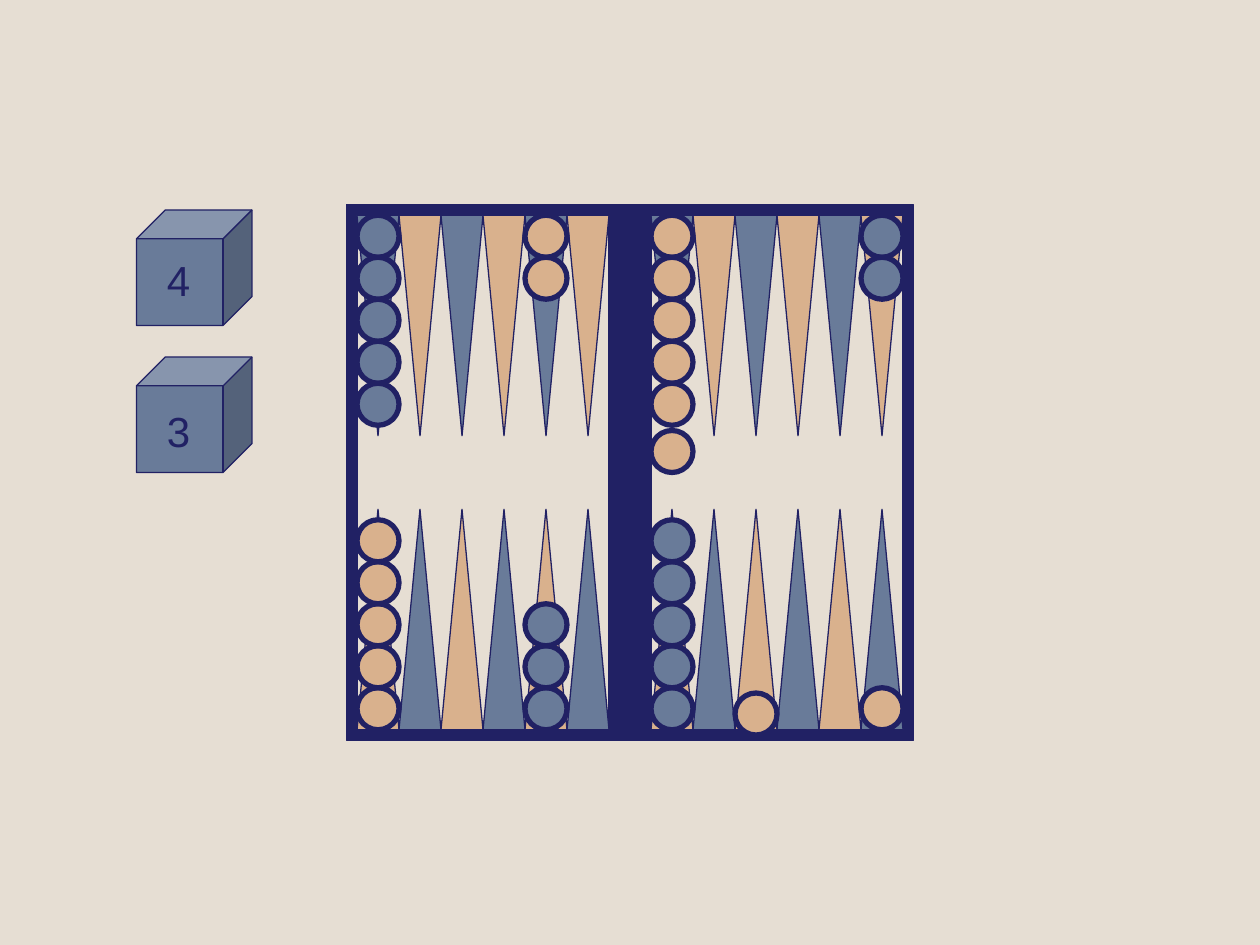
from dataclasses import dataclass

from pptx import Presentation
from pptx.dml.color import RGBColor
from pptx.enum.shapes import MSO_SHAPE
from pptx.enum.text import MSO_AUTO_SIZE, PP_ALIGN
from pptx.shapes.autoshape import Shape
from pptx.util import Pt

COLORS = {"board": "E6DED3", "navy": "212164", "sand": "D9B18D", "slate": "697B99"}

POINT_WIDTH, POINT_HEIGHT = 24, 126
POINTS_PER_HALF = 6
HALF_LEFTS = (204, 372)
BOARD_TOP, BOARD_BOTTOM = 123, 417
LOWEST_ROW = BOARD_BOTTOM - POINT_WIDTH


@dataclass
class Stack:
    """Checkers on one point, counted from the left, 0 to 11."""
    color: str
    column: int
    top: float
    count: int = 1
    step: int = POINT_WIDTH


@dataclass
class Die:
    value: str
    top: float
    label_top: float


STACKS = [
    Stack("slate", 11, BOARD_TOP, 2),
    Stack("slate", 0, BOARD_TOP, 5),
    Stack("slate", 4, LOWEST_ROW, 3, -POINT_WIDTH),
    Stack("slate", 6, LOWEST_ROW, 5, -POINT_WIDTH),
    Stack("sand", 11, LOWEST_ROW),
    Stack("sand", 8, 396),
    Stack("sand", 0, LOWEST_ROW, 5, -POINT_WIDTH),
    Stack("sand", 4, BOARD_TOP, 2),
    Stack("sand", 6, 246),
    Stack("sand", 6, BOARD_TOP, 5),
]
DICE = [Die("4", 120, 142), Die("3", 204, 228)]
DIE_LEFT, DIE_SIZE = 78, 66


def rgb(name: str) -> RGBColor:
    return RGBColor.from_string(COLORS[name])


def column_left(column: int) -> float:
    half, index = divmod(column, POINTS_PER_HALF)
    return HALF_LEFTS[half] + index * POINT_WIDTH


def draw(shapes, preset: MSO_SHAPE, left: float, top: float, width: float,
         height: float, color: str, line_width: float = 0.75) -> Shape:
    shape = shapes.add_shape(preset, Pt(left), Pt(top), Pt(width), Pt(height))
    shape.shadow.inherit = False
    shape.fill.solid()
    shape.fill.fore_color.rgb = rgb(color)
    shape.line.color.rgb = rgb("navy")
    shape.line.width = Pt(line_width)
    return shape


def draw_board(shapes) -> None:
    draw(shapes, MSO_SHAPE.RECTANGLE, 198, 117, 324, 306, "navy")
    for left in HALF_LEFTS:
        draw(shapes, MSO_SHAPE.RECTANGLE, left, BOARD_TOP,
             POINTS_PER_HALF * POINT_WIDTH, BOARD_BOTTOM - BOARD_TOP, "board")
    # Points alternate in colour, and opposite points differ
    rows = [(BOARD_BOTTOM - POINT_HEIGHT, 0, ("sand", "slate")),
            (BOARD_TOP, 180, ("slate", "sand"))]
    for top, rotation, colors in rows:
        for column in range(2 * POINTS_PER_HALF):
            point = draw(shapes, MSO_SHAPE.ISOSCELES_TRIANGLE, column_left(column),
                         top, POINT_WIDTH, POINT_HEIGHT, colors[column % 2])
            point.rotation = rotation


def draw_stack(shapes, stack: Stack) -> None:
    for position in range(stack.count):
        draw(shapes, MSO_SHAPE.OVAL, column_left(stack.column),
             stack.top + position * stack.step, POINT_WIDTH, POINT_WIDTH,
             stack.color, 3)


def draw_die(shapes, die: Die) -> None:
    draw(shapes, MSO_SHAPE.CUBE, DIE_LEFT, die.top, DIE_SIZE, DIE_SIZE, "slate")
    label = shapes.add_textbox(Pt(DIE_LEFT), Pt(die.label_top), Pt(48), Pt(36))
    frame = label.text_frame
    frame.word_wrap = True
    frame.auto_size = MSO_AUTO_SIZE.SHAPE_TO_FIT_TEXT
    frame.text = die.value
    paragraph = frame.paragraphs[0]
    paragraph.alignment = PP_ALIGN.CENTER
    font = paragraph.runs[0].font
    font.name = "Arial"
    font.size = Pt(24)
    font.color.rgb = rgb("navy")


def main() -> None:
    presentation = Presentation()
    presentation.slide_width, presentation.slide_height = Pt(720), Pt(540)
    slide = presentation.slides.add_slide(presentation.slide_layouts[6])
    slide.background.fill.solid()
    slide.background.fill.fore_color.rgb = rgb("board")

    # Board with its points
    draw_board(slide.shapes.add_group_shape().shapes)

    # Checkers
    for stack in STACKS:
        draw_stack(slide.shapes, stack)

    # Dice
    dice_shapes = slide.shapes.add_group_shape().shapes
    for die in DICE:
        draw_die(dice_shapes, die)

    presentation.save("out.pptx")


if __name__ == "__main__":
    main()
